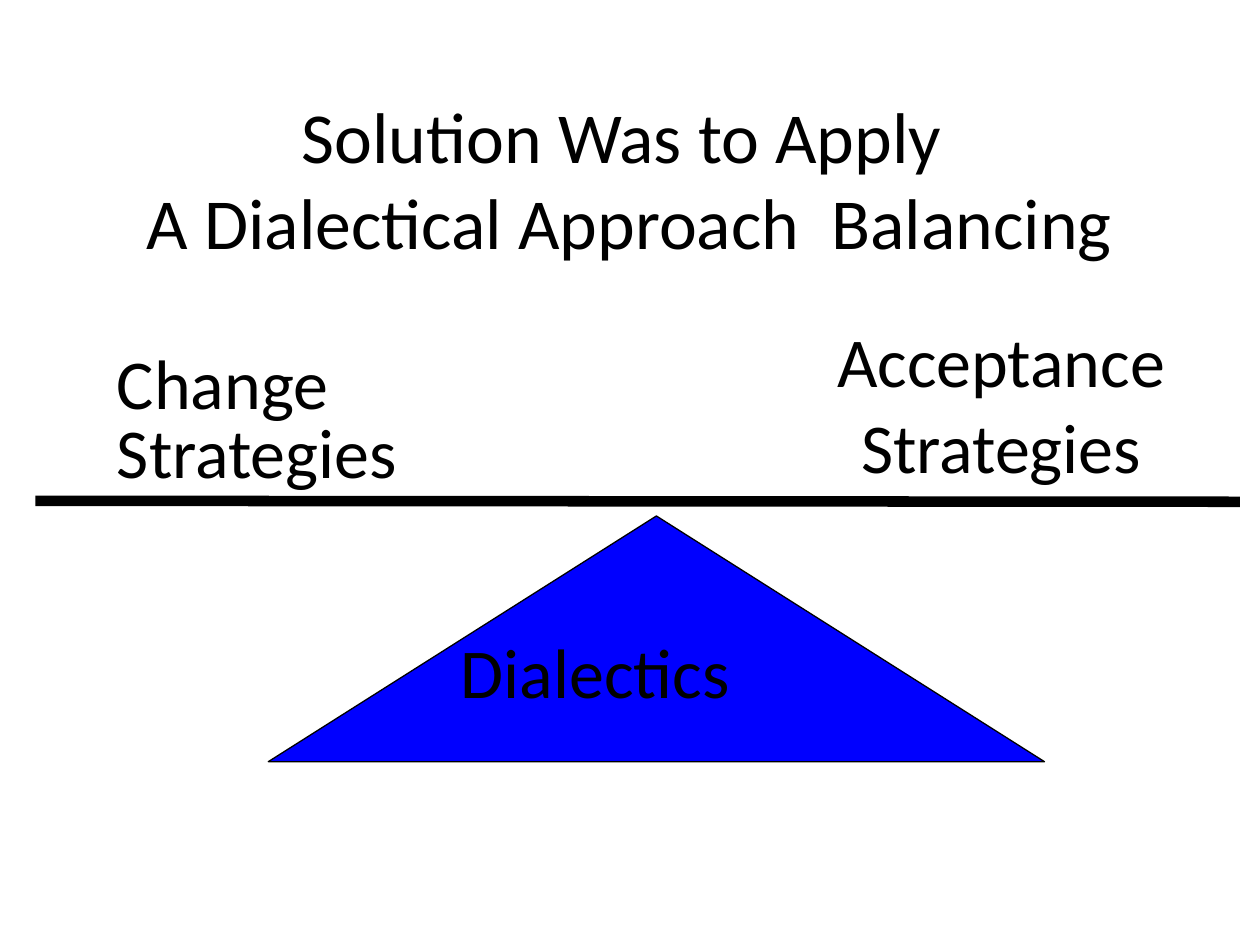
"""Build a slide that balances change and acceptance strategies on a dialectical fulcrum."""
from dataclasses import dataclass

from lxml.etree import SubElement
from pptx import Presentation
from pptx.dml.color import RGBColor
from pptx.enum.shapes import MSO_CONNECTOR, MSO_SHAPE
from pptx.enum.text import MSO_ANCHOR, MSO_AUTO_SIZE, PP_ALIGN
from pptx.oxml.ns import qn
from pptx.util import Inches, Pt

BLACK = RGBColor(0, 0, 0)
BLUE = RGBColor(0, 0, 255)
WIDTH, HEIGHT = Inches(10), Inches(7.5)
FONT = "Calibri"


@dataclass(frozen=True)
class Area:
    left: float
    top: float
    width: float
    height: float

    def lengths(self) -> tuple[int, int, int, int]:
        return (round(self.left * WIDTH), round(self.top * HEIGHT),
                round(self.width * WIDTH), round(self.height * HEIGHT))


@dataclass(frozen=True)
class Line:
    words: str
    spacing: float = 1.0


@dataclass(frozen=True)
class Label:
    area: Area
    lines: tuple[Line, ...]
    align: PP_ALIGN = PP_ALIGN.LEFT


TITLE_AREA = Area(0, 0, 1, 0.377)
TITLE_LINES = ("Solution Was to Apply ", "A Dialectical Approach  Balancing")
ACCEPTANCE = Label(Area(0.589, 0.368, 0.411, 0.148),
                   (Line("Acceptance", 0.5), Line("Strategies", 0.5)), PP_ALIGN.CENTER)
LABELS = (
    Label(Area(0.083, 0.377, 0.483, 0.14), (Line("Change", 0.7), Line("Strategies", 0.2))),
    Label(Area(0.356, 0.659, 0.322, 0.103), (Line("Dialectics"),)),
)
FULCRUM = Area(0.213, 0.546, 0.616, 0.26)
BEAM = Area(0.028, 0.53, 0.956, 0.001)


def place(shape, area: Area) -> None:
    shape.left, shape.top, shape.width, shape.height = area.lengths()


def add_words(paragraph, words: str, size: float) -> None:
    run = paragraph.add_run()
    run.text = words
    run.font.name = FONT
    run.font.size = Pt(size)
    run.font.color.rgb = BLACK


def write_title(title) -> None:
    place(title, TITLE_AREA)
    frame = title.text_frame
    frame.auto_size = MSO_AUTO_SIZE.NONE
    frame.vertical_anchor = MSO_ANCHOR.MIDDLE
    heading = frame.paragraphs[0]
    heading.alignment = PP_ALIGN.CENTER
    for index, words in enumerate(TITLE_LINES):
        if index:
            heading.add_line_break()
        add_words(heading, words, 41)


def write_label(shape, label: Label, fit: MSO_AUTO_SIZE) -> None:
    frame = shape.text_frame
    frame.word_wrap = True
    frame.auto_size = fit
    for index, line in enumerate(label.lines):
        paragraph = frame.add_paragraph() if index else frame.paragraphs[0]
        paragraph.alignment = label.align
        paragraph.line_spacing = line.spacing
        paragraph.space_before = Pt(25 if index else 0)
        properties = paragraph._p.get_or_add_pPr()
        properties.set("marL", "0")
        properties.set("indent", "0")
        SubElement(properties, qn("a:buNone"))
        add_words(paragraph, line.words, 40)


def draw_fulcrum(shapes) -> None:
    fulcrum = shapes.add_shape(MSO_SHAPE.ISOSCELES_TRIANGLE, *FULCRUM.lengths())
    fulcrum.shadow.inherit = False
    fulcrum.fill.solid()
    fulcrum.fill.fore_color.rgb = BLUE
    fulcrum.line.color.rgb = BLACK
    fulcrum.line.width = Pt(0.75)


def draw_beam(shapes) -> None:
    left, top, width, height = BEAM.lengths()
    beam = shapes.add_connector(MSO_CONNECTOR.STRAIGHT, left, top, left + width, top + height)
    beam.line.color.rgb = BLACK
    beam.line.width = Pt(6)
    SubElement(beam._element.spPr, qn("a:effectLst"))


def main() -> None:
    deck = Presentation()
    deck.slide_width, deck.slide_height = WIDTH, HEIGHT
    slide = deck.slides.add_slide(deck.slide_layouts[1])
    write_title(slide.shapes.title)
    acceptance = slide.placeholders[1]
    place(acceptance, ACCEPTANCE.area)
    write_label(acceptance, ACCEPTANCE, MSO_AUTO_SIZE.NONE)
    draw_fulcrum(slide.shapes)
    draw_beam(slide.shapes)
    for label in LABELS:
        box = slide.shapes.add_textbox(*label.area.lengths())
        write_label(box, label, MSO_AUTO_SIZE.SHAPE_TO_FIT_TEXT)
    deck.save("out.pptx")


if __name__ == "__main__":
    main()
